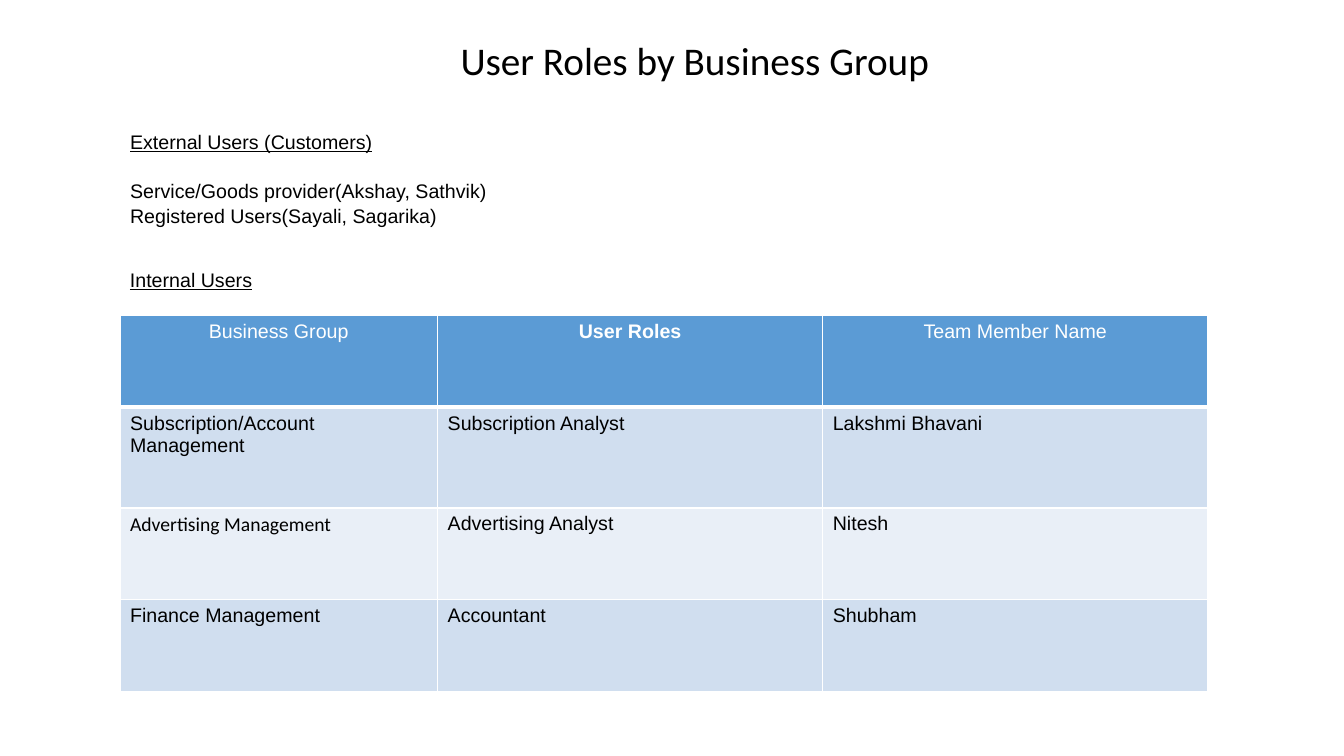
import pptx
import pptx.util
import pptx.dml.color
import pptx.enum.text
import pptx.oxml
import pptx.oxml.ns
from dataclasses import dataclass

TITLE = "User Roles by Business Group"
EXTERNAL_HEADING = "External Users (Customers)"
EXTERNAL_USERS = [
    "Service/Goods provider(Akshay, Sathvik)",
    "Registered Users(Sayali, Sagarika)",
]
INTERNAL_HEADING = "Internal Users"
ROLES = [
    ("Business Group", "User Roles", "Team Member Name"),
    ("Subscription/Account Management", "Subscription Analyst", "Lakshmi Bhavani"),
    ("Advertising Management", "Advertising Analyst", "Nitesh"),
    ("Finance Management", "Accountant", "Shubham"),
]
BOLD_HEADER = "User Roles"
CALIBRI_CELL = "Advertising Management"
COLUMN_WIDTHS = (3.15, 3.82, 3.82)
ROW_HEIGHTS = (0.91, 1, 0.91, 0.91)
LEFT = 1.19
TABLE_TOP = 3.13


@dataclass(frozen=True)
class Theme:
    title_font: str = "Calibri"
    body_font: str = "Arial"
    title_size: int = 28
    body_size: int = 14
    text: str = "000000"
    white: str = "FFFFFF"
    header: str = "5B9BD5"
    bands: tuple = ("D0DEEF", "E9EFF7")


THEME = Theme()
Inches = pptx.util.Inches
ALIGN = pptx.enum.text.PP_ALIGN


def color(value):
    return pptx.dml.color.RGBColor.from_string(value)


def format_paragraph(paragraph, font=THEME.body_font, size=THEME.body_size,
                     fill=THEME.text, align=ALIGN.LEFT, bold=False, underline=False):
    paragraph.alignment = align
    for run in paragraph.runs:
        run.font.name = font
        run.font.size = pptx.util.Pt(size)
        run.font.color.rgb = color(fill)
        run.font.bold = bold
        run.font.underline = underline


def place(shape, left, top, width, height):
    shape.left, shape.top = Inches(left), Inches(top)
    shape.width, shape.height = Inches(width), Inches(height)
    frame = shape.text_frame
    frame.word_wrap = True
    frame.auto_size = pptx.enum.text.MSO_AUTO_SIZE.NONE
    frame.vertical_anchor = pptx.enum.text.MSO_ANCHOR.TOP


def remove_bullet(paragraph):
    properties = paragraph._p.get_or_add_pPr()
    properties.set("marL", "0")
    properties.set("indent", "0")
    pptx.oxml.ns.qn("a:buNone")
    properties.append(pptx.oxml.parse_xml(
        f'<a:buNone {pptx.oxml.ns.nsdecls("a")}/>'))


def add_borders(cell, is_header, is_first_body):
    properties = cell._tc.get_or_add_tcPr()
    widths = {"lnL": 1, "lnR": 1, "lnT": 3 if is_first_body else 1,
              "lnB": 3 if is_header else 1}
    for position, (side, points) in enumerate(widths.items()):
        properties.insert(position, pptx.oxml.parse_xml(
            f'<a:{side} {pptx.oxml.ns.nsdecls("a")} w="{pptx.util.Pt(points)}">'
            f'<a:solidFill><a:srgbClr val="{THEME.white}"/></a:solidFill></a:{side}>'))


def add_external_users(body):
    place(body, LEFT, 1.22, 4.45, 1.28)
    body.text_frame.text = "\n".join([EXTERNAL_HEADING, *EXTERNAL_USERS])
    for index, paragraph in enumerate(body.text_frame.paragraphs):
        is_heading = index == 0
        format_paragraph(paragraph, underline=is_heading)
        paragraph.line_spacing = 1.07
        paragraph.space_before = pptx.util.Pt(0)
        paragraph.space_after = pptx.util.Pt(17 if is_heading else 0)
        remove_bullet(paragraph)


def add_roles_table(slide):
    table = slide.shapes.add_table(
        len(ROLES), len(COLUMN_WIDTHS), Inches(LEFT), Inches(TABLE_TOP),
        Inches(sum(COLUMN_WIDTHS)), Inches(sum(ROW_HEIGHTS))).table
    for column, width in zip(table.columns, COLUMN_WIDTHS):
        column.width = Inches(width)
    for row_index, (row, height, texts) in enumerate(zip(table.rows, ROW_HEIGHTS, ROLES)):
        row.height = Inches(height)
        is_header = row_index == 0
        for cell, text in zip(row.cells, texts):
            cell.text_frame.text = text
            cell.fill.solid()
            cell.fill.fore_color.rgb = color(
                THEME.header if is_header else THEME.bands[(row_index - 1) % 2])
            add_borders(cell, is_header, row_index == 1)
            format_paragraph(
                cell.text_frame.paragraphs[0],
                font=THEME.title_font if text == CALIBRI_CELL else THEME.body_font,
                fill=THEME.white if is_header else THEME.text,
                align=ALIGN.CENTER if is_header else ALIGN.LEFT,
                bold=text == BOLD_HEADER)


def main():
    presentation = pptx.Presentation()
    presentation.slide_width = Inches(13.33)
    presentation.slide_height = Inches(7.5)
    slide = presentation.slides.add_slide(presentation.slide_layouts[1])

    title = slide.shapes.title
    place(title, 4.16, 0.31, 5.46, 1.04)
    title.text_frame.text = TITLE
    format_paragraph(title.text_frame.paragraphs[0], THEME.title_font,
                     THEME.title_size, align=ALIGN.CENTER)

    add_roles_table(slide)
    add_external_users(slide.placeholders[1])

    internal = slide.shapes.add_textbox(0, 0, 0, 0)
    place(internal, LEFT, 2.61, 1.63, 0.4)
    internal.text_frame.text = INTERNAL_HEADING
    format_paragraph(internal.text_frame.paragraphs[0], underline=True)

    presentation.save("out.pptx")


if __name__ == "__main__":
    main()
